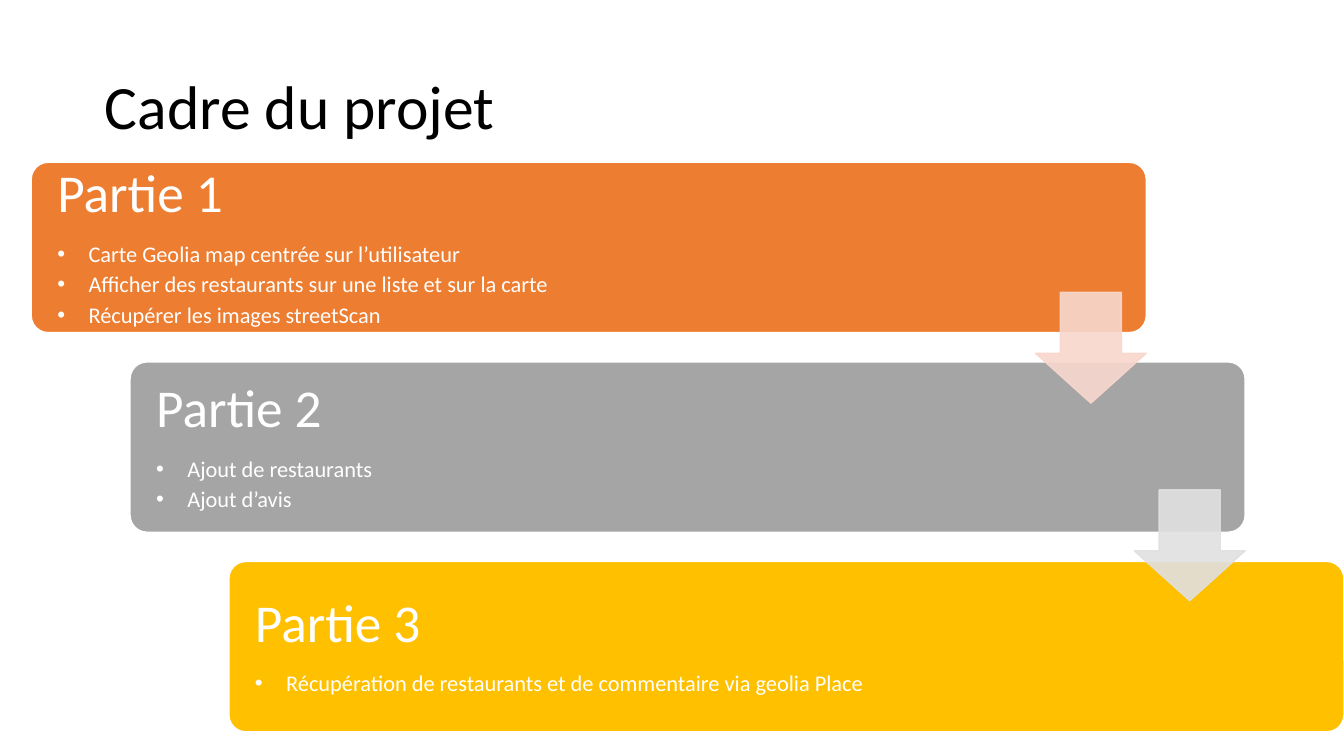
"""Build the "Cadre du projet" slide: three staggered steps linked by arrows."""
import pptx
import pptx.dml.color
import pptx.enum.shapes
import pptx.enum.text
import pptx.oxml
import pptx.oxml.ns
import pptx.util
from lxml import etree

Inches = pptx.util.Inches
Pt = pptx.util.Pt
RGBColor = pptx.dml.color.RGBColor
MSO_SHAPE = pptx.enum.shapes.MSO_SHAPE
qn = pptx.oxml.ns.qn

COLORS = {
    "black": "000000",
    "white": "FFFFFF",
    "orange": "ED7D31",
    "gray": "A5A5A5",
    "gold": "FFC000",
    "pale orange": "F8D7CD",
    "pale gray": "E0E0E0",
}

STEPS = [
    ("Partie 1", "orange", [
        "Carte Geolia map centrée sur l’utilisateur",
        "Afficher des restaurants sur une liste et sur la carte",
        "Récupérer les images streetScan",
    ]),
    ("Partie 2", "gray", ["Ajout de restaurants", "Ajout d’avis"]),
    ("Partie 3", "gold", [
        "Récupération de restaurants et de commentaire via geolia Place",
    ]),
]
STEP_X, STEP_Y = 0.98, 1.98
ARROW_Y = 1.96


def write(paragraph, text, size, color="white", after=0, bullet=False):
    """Fill a paragraph with one formatted run."""
    paragraph.alignment = pptx.enum.text.PP_ALIGN.LEFT
    paragraph.line_spacing = 0.9
    paragraph.space_before = Pt(0)
    paragraph.space_after = Pt(after)
    if bullet:
        paragraph.level = 1
        properties = paragraph._p.get_or_add_pPr()
        properties.set("marL", str(Inches(0.31)))
        properties.set("indent", str(Inches(-0.31)))
        bullet_color = etree.SubElement(properties, qn("a:buClr"))
        etree.SubElement(bullet_color, qn("a:srgbClr"), val=COLORS[color])
        etree.SubElement(properties, qn("a:buFont"), typeface="Arial")
        etree.SubElement(properties, qn("a:buChar"), char="•")
    run = paragraph.add_run()
    run.text = text
    run.font.name = "Calibri"
    run.font.size = Pt(size)
    run.font.color.rgb = RGBColor.from_string(COLORS[color])


def add_block(slide, kind, position, adjustments, fill, line, alpha=None):
    """Add a filled and outlined preset shape."""
    shape = slide.shapes.add_shape(kind, *map(Inches, position))
    shape.shadow.inherit = False
    for index, value in enumerate(adjustments):
        shape.adjustments[index] = value
    shape.fill.solid()
    shape.fill.fore_color.rgb = RGBColor.from_string(COLORS[fill])
    shape.line.color.rgb = RGBColor.from_string(COLORS[line])
    shape.line.width = Pt(1)
    if alpha:
        for color in shape._element.spPr.iter(qn("a:srgbClr")):
            etree.SubElement(color, qn("a:alpha"), val=str(alpha * 1000))
    return shape


presentation = pptx.Presentation()
presentation.slide_width = Inches(13.33)
presentation.slide_height = Inches(7.5)
slide = presentation.slides.add_slide(presentation.slide_layouts[5])

title = slide.shapes.title
title.left, title.top = Inches(0.94), Inches(0.36)
title.width, title.height = Inches(11.5), Inches(1.45)
title.text_frame.auto_size = pptx.enum.text.MSO_AUTO_SIZE.NONE
title.text_frame.vertical_anchor = pptx.enum.text.MSO_ANCHOR.MIDDLE
write(title.text_frame.paragraphs[0], "Cadre du projet", 44, color="black")

for index, (heading, fill, items) in enumerate(STEPS):
    position = (0.31 + index * STEP_X, 1.61 + index * STEP_Y, 11.06, 1.69)
    step = add_block(slide, MSO_SHAPE.ROUNDED_RECTANGLE, position, [0.1], fill, "white")
    frame = step.text_frame
    frame.word_wrap = True
    frame.vertical_anchor = pptx.enum.text.MSO_ANCHOR.MIDDLE
    frame.margin_left = frame.margin_top = frame.margin_bottom = Inches(0.21)
    frame.margin_right = Inches(0.16)
    write(frame.paragraphs[0], heading, 38, after=13.3)
    for item in items:
        write(frame.add_paragraph(), item, 16, after=4.5, bullet=True)

for index, color in enumerate(["pale orange", "pale gray"]):
    position = (10.27 + index * STEP_X, 2.9 + index * ARROW_Y, 1.1, 1.1)
    add_block(slide, MSO_SHAPE.DOWN_ARROW, position, [0.55, 0.45], color, color, alpha=90)

presentation.save("out.pptx")
